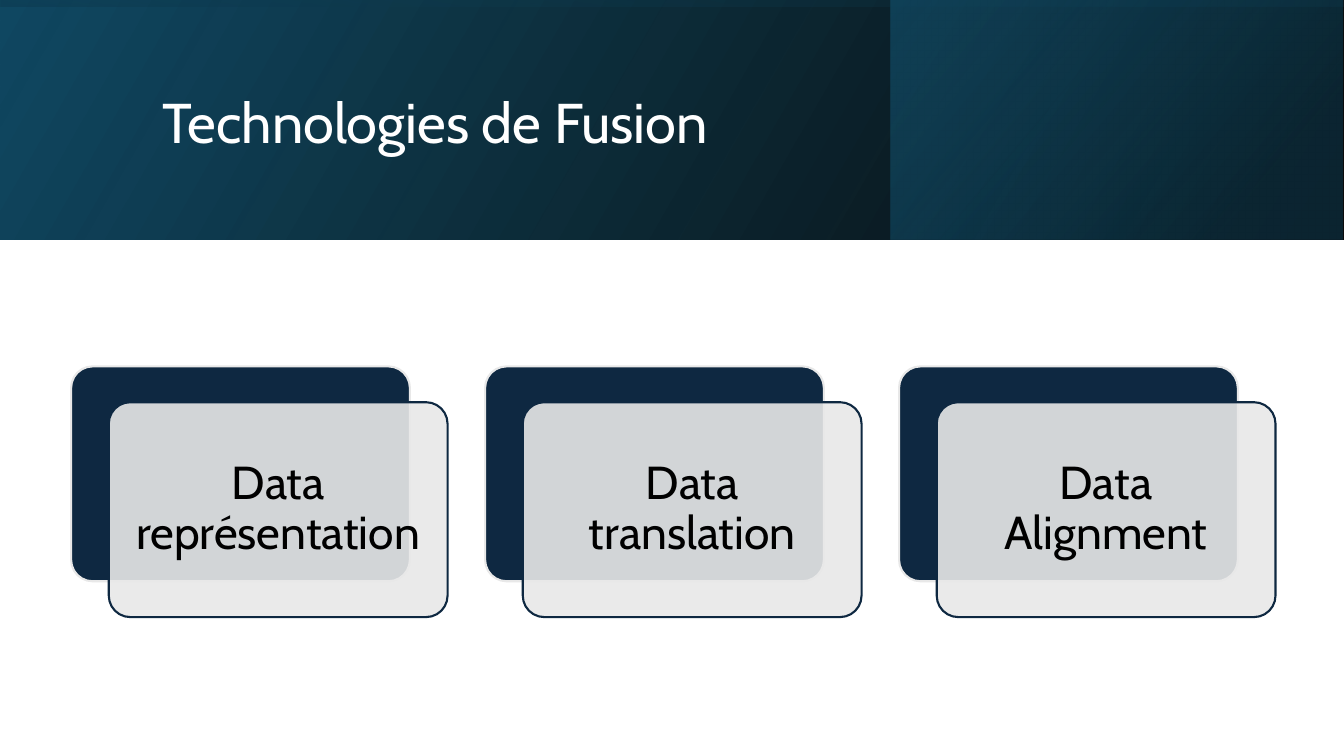
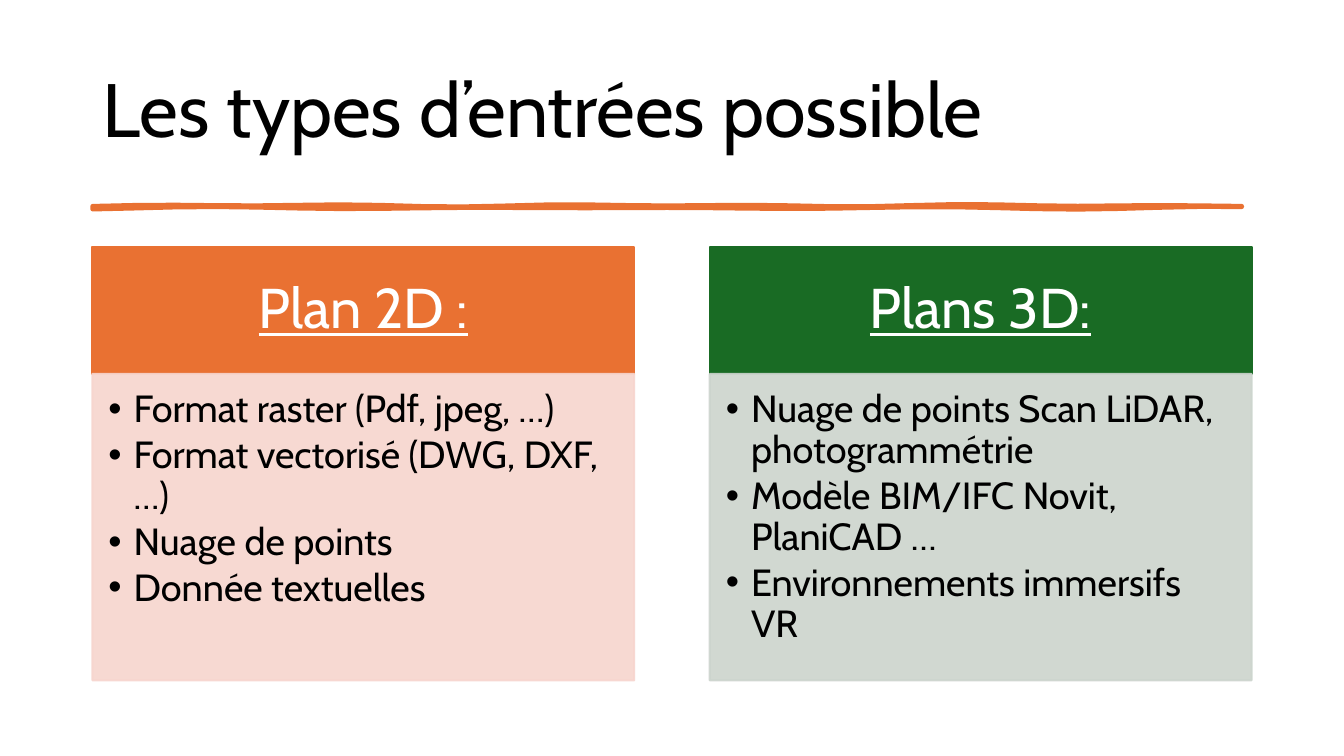
from dataclasses import dataclass
from math import sin

from lxml import etree
from pptx import Presentation
from pptx import util as u
from pptx.dml.color import RGBColor
from pptx.enum import shapes, text
from pptx.oxml.ns import qn


@dataclass(frozen=True)
class Theme:
    font: str = "Cabin"
    white: str = "FFFFFF"
    black: str = "000000"
    navy: str = "0E2841"
    grey: str = "E8E8E8"
    orange: str = "E97132"
    peach: str = "F7D5CE"
    green: str = "196B24"
    sage: str = "CCD4CD"
    deep_teal: str = "104862"
    teal: str = "156082"
    midnight: str = "0B3041"
    title: int = 54
    heading: int = 40
    card: int = 33
    body: int = 27


theme = Theme()
Pt = u.Pt
rectangle = shapes.MSO_SHAPE.RECTANGLE
rounded = shapes.MSO_SHAPE.ROUNDED_RECTANGLE
left, centre = text.PP_ALIGN.LEFT, text.PP_ALIGN.CENTER
top, middle = text.MSO_ANCHOR.TOP, text.MSO_ANCHOR.MIDDLE


def write(frame, content, size, colour=theme.black, align=centre, anchor=middle,
          insets=(7.2, 3.6, 7.2, 3.6), underline=None, indent=0, after=0):
    """Fill a text frame, one paragraph a line; an indent makes the lines bullets."""
    frame.word_wrap = True
    frame.auto_size = text.MSO_AUTO_SIZE.NONE
    frame.vertical_anchor = anchor
    (frame.margin_left, frame.margin_top,
     frame.margin_right, frame.margin_bottom) = map(Pt, insets)
    for number, line in enumerate(content.split("\n")):
        para = frame.add_paragraph() if number else frame.paragraphs[0]
        para.alignment = align
        para.line_spacing = 0.9
        para.space_after = Pt(after)
        if indent:
            props = para._p.get_or_add_pPr()
            props.set("marL", str(Pt(indent)))
            props.set("indent", str(-Pt(indent)))
            etree.SubElement(props, qn("a:buFont"), typeface="Arial")
            etree.SubElement(props, qn("a:buChar"), char="•")
        span = para.add_run()
        span.text = line
        span.font.name = theme.font
        span.font.size = Pt(size)
        span.font.underline = underline
        span.font.color.rgb = RGBColor.from_string(colour)


def add_block(page, kind, place, fill, line, opacity=100):
    """Add a filled box; the opacity also holds for a line of the same colour."""
    block = page.shapes.add_shape(kind, *map(Pt, place))
    block.shadow.inherit = False
    block.fill.solid()
    block.fill.fore_color.rgb = RGBColor.from_string(fill)
    block.line.color.rgb = RGBColor.from_string(line)
    block.line.width = Pt(1.5)
    if opacity < 100:
        for colour in block._element.spPr.iter(qn("a:srgbClr")):
            if colour.get("val") == fill:
                etree.SubElement(colour, qn("a:alpha"), val=str(opacity * 1000))
    if kind == rounded:
        block.adjustments[0] = 0.1
    return block


deck = Presentation()
deck.slide_width, deck.slide_height = Pt(960), Pt(540)
pages = []
for heading, place, size, colour in (
    ("Technologies de Fusion", (108.7, 27.4, 765.4, 123.8), theme.heading, theme.white),
    ("Les types d’entrées possible", (66, 28.8, 828, 104.4), theme.title, theme.black),
):
    page = deck.slides.add_slide(deck.slide_layouts[5])
    title = page.shapes.title
    title.left, title.top, title.width, title.height = map(Pt, place)
    write(title.text_frame, heading, size, colour, align=left)
    pages.append(page)
fusion, inputs = pages

# Fusion: three translucent gradients make the title band
band_height = 171
for place, rotation, angle, stops in (
    ((0, 0, 960, band_height), 0, 330,
     ((0, theme.black, 96), (100, theme.deep_teal, 100))),
    ((636.5, 0, 322.6, band_height), 0, 320,
     ((19, theme.midnight, 68), (100, theme.teal, 48))),
    ((394.5, -394.5, band_height, 960), 270, 350,
     ((23, theme.deep_teal, 16), (99, theme.black, 45))),
):
    band = fusion.shapes.add_shape(rectangle, *map(Pt, place))
    band.shadow.inherit = False
    band.line.fill.background()
    band.rotation = rotation
    props = band._element.spPr
    props.find(qn("a:xfrm")).set("flipH", "1")
    gradient = etree.Element(qn("a:gradFill"), rotWithShape="1")
    stop_list = etree.SubElement(gradient, qn("a:gsLst"))
    for position, colour, opacity in stops:
        stop = etree.SubElement(stop_list, qn("a:gs"), pos=str(position * 1000))
        tint = etree.SubElement(stop, qn("a:srgbClr"), val=colour)
        etree.SubElement(tint, qn("a:alpha"), val=str(opacity * 1000))
    etree.SubElement(gradient, qn("a:lin"), ang=str(angle * 60000), scaled="0")
    props.find(qn("a:prstGeom")).addnext(gradient)

# The title goes in front of the band
title = fusion.shapes.title._element
title.getparent().append(title)

card_width, card_height, card_pitch, card_shift = 242, 153.5, 295.7, 26.9
for column, label in enumerate(
        ("Data représentation", "Data translation", "Data Alignment")):
    x, y = 50.8 + column * card_pitch, 261.7
    add_block(fusion, rounded, (x, y, card_width, card_height), theme.navy, theme.grey)
    card = add_block(fusion, rounded,
                     (x + card_shift, y + 25.6, card_width, card_height),
                     theme.grey, theme.navy, opacity=90)
    write(card.text_frame, label, theme.card, insets=(10, 10, 10, 10))

# Inputs: a hand-drawn rule under the title
steps, rule_left, rule_width = 28, 66.2, 820.8
xs = [rule_left + rule_width * step / steps for step in range(steps + 1)]
upper = [(Pt(x), Pt(146.8 + 0.5 * sin(x / 23) + 0.4 * sin(x / 41))) for x in xs]
lower = [(Pt(x), Pt(148.6 + 0.5 * sin(x / 29) + 0.5 * sin(x / 37))) for x in xs]
builder = inputs.shapes.build_freeform(*upper[0])
builder.add_line_segments(upper[1:] + lower[::-1], close=True)
rule = builder.convert_to_shape()
rule.shadow.inherit = False
rule.fill.solid()
rule.fill.fore_color.rgb = rule.line.color.rgb = RGBColor.from_string(theme.orange)
rule.line.width = Pt(3.25)

panel_width, panel_pitch, panel_top = 387, 441, 176.4
head_height, body_height = 90.7, 218.9
for column, (heading, items, strong, pale) in enumerate((
    ("Plan 2D :",
     "Format raster (Pdf, jpeg, …)\nFormat vectorisé (DWG, DXF, …)\n"
     "Nuage de points\nDonnée textuelles",
     theme.orange, theme.peach),
    ("Plans 3D:",
     "Nuage de points Scan LiDAR, photogrammétrie\n"
     "Modèle BIM/IFC Novit, PlaniCAD …\nEnvironnements immersifs VR",
     theme.green, theme.sage),
)):
    x = 66 + column * panel_pitch
    head = add_block(inputs, rectangle, (x, panel_top, panel_width, head_height),
                     strong, strong)
    write(head.text_frame, heading, theme.heading, theme.white,
          insets=(22.4, 12.8, 22.4, 12.8), underline=True)
    body = add_block(inputs, rectangle,
                     (x, panel_top + head_height, panel_width, body_height),
                     pale, pale, opacity=90)
    write(body.text_frame, items, theme.body, align=left, anchor=top,
          insets=(11.5, 11.5, 15.1, 17.3), indent=18, after=3.6)

deck.save("out.pptx")
